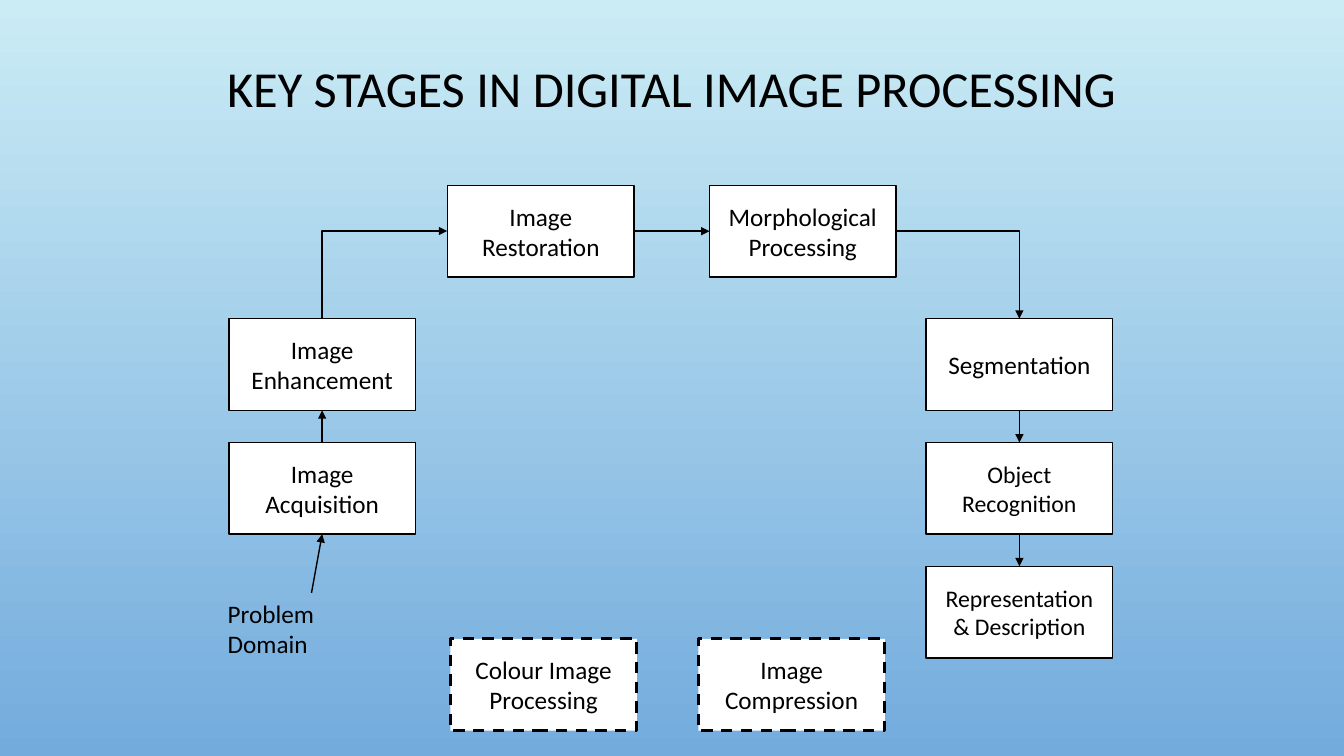
from lxml import etree
from pptx import Presentation
from pptx.dml.color import RGBColor
from pptx.enum import dml, shapes, text
from pptx.oxml import ns
from pptx.util import Cm, Pt

BLACK = RGBColor(0x00, 0x00, 0x00)
WHITE = RGBColor(0xFF, 0xFF, 0xFF)
SKY_TOP = RGBColor(0xCB, 0xEC, 0xF5)
SKY_BOTTOM = RGBColor(0x73, 0xAB, 0xDD)
BOX_W, BOX_H = 4.7, 2.31
LEFT_X, RIGHT_X = 5.77, 23.34
TOP_Y, SIDE_Y, SIDE_STEP, BASE_Y = 4.67, 8.03, 3.12, 16.1


def write(frame, wording, size, align):
    frame.text = wording
    paragraph = frame.paragraphs[0]
    paragraph.alignment = align
    font_format = {"name": "Calibri", "size": Pt(size)}
    for attribute, value in font_format.items():
        setattr(paragraph.runs[0].font, attribute, value)
    paragraph.runs[0].font.color.rgb = BLACK
    return paragraph


def add_arrow(kind, x1, y1, x2, y2):
    arrow = slide.shapes.add_connector(kind, Cm(x1), Cm(y1), Cm(x2), Cm(y2))
    arrow.line.color.rgb = BLACK
    arrow.line.width = Pt(1)
    properties = arrow._element.spPr
    etree.SubElement(properties.find(ns.qn("a:ln")), ns.qn("a:tailEnd"), type="triangle")
    etree.SubElement(properties, ns.qn("a:effectLst"))
    return arrow


prs = Presentation()
prs.slide_width, prs.slide_height = Cm(33.87), Cm(19.05)
slide = prs.slides.add_slide(prs.slide_layouts[5])

sky = slide.background.fill
sky.gradient()
sky.gradient_angle = 270
for stop, color, position in zip(sky.gradient_stops, (SKY_TOP, SKY_BOTTOM), (0, 1)):
    stop.color.rgb = color
    stop.position = position

title = slide.shapes.title
title_place = {"left": Cm(2.54), "top": Cm(0.97), "width": Cm(28.78), "height": Cm(2.64)}
for attribute, value in title_place.items():
    setattr(title, attribute, value)
title.text_frame.vertical_anchor = text.MSO_ANCHOR.MIDDLE
heading = write(title.text_frame, "KEY STAGES IN DIGITAL IMAGE PROCESSING", 36, text.PP_ALIGN.CENTER)
heading.line_spacing = 0.9

stages = [
    ("Image Acquisition", LEFT_X, SIDE_Y + SIDE_STEP, 18, False),
    ("Image Enhancement", LEFT_X, SIDE_Y, 18, False),
    ("Image Restoration", 11.28, TOP_Y, 18, False),
    ("Morphological Processing", 17.88, TOP_Y, 18, False),
    ("Segmentation", RIGHT_X, SIDE_Y, 18, False),
    ("Object Recognition", RIGHT_X, SIDE_Y + SIDE_STEP, 17, False),
    ("Representation & Description", RIGHT_X, SIDE_Y + 2 * SIDE_STEP, 17, False),
    ("Colour Image Processing", 11.35, BASE_Y, 18, True),
    ("Image Compression", 17.6, BASE_Y, 18, True),
]
boxes = {}
for stage, x, y, size, dashed in stages:
    box = slide.shapes.add_shape(shapes.MSO_SHAPE.RECTANGLE, Cm(x), Cm(y), Cm(BOX_W), Cm(BOX_H))
    box.shadow.inherit = False
    box.fill.solid()
    box.fill.fore_color.rgb = WHITE
    box.line.color.rgb = BLACK
    box.line.width = Pt(2 if dashed else 1)
    if dashed:
        box.line.dash_style = dml.MSO_LINE.DASH
    box.text_frame.word_wrap = True
    box.text_frame.vertical_anchor = text.MSO_ANCHOR.MIDDLE
    write(box.text_frame, stage, size, text.PP_ALIGN.CENTER)
    boxes[stage] = box

problem = slide.shapes.add_textbox(Cm(5.49), Cm(14.94), Cm(3.2), Cm(1.78))
problem.text_frame.word_wrap = True
write(problem.text_frame, "Problem Domain", 18, text.PP_ALIGN.LEFT)

straight_links = [
    ("Image Acquisition", 0, "Image Enhancement", 2),
    ("Image Restoration", 3, "Morphological Processing", 1),
    ("Segmentation", 2, "Object Recognition", 0),
    ("Object Recognition", 2, "Representation & Description", 0),
]
for source, source_side, target, target_side in straight_links:
    link = add_arrow(shapes.MSO_CONNECTOR.STRAIGHT, 0, 0, 1, 1)
    link.begin_connect(boxes[source], source_side)
    link.end_connect(boxes[target], target_side)

problem_link = add_arrow(shapes.MSO_CONNECTOR.STRAIGHT, 7.85, 14.94, 8.12, 13.46)
problem_link.end_connect(boxes["Image Acquisition"], 2)

to_restoration = add_arrow(shapes.MSO_CONNECTOR.ELBOW, 8.59, 5.35, 10.8, 8.5)
to_restoration.rotation = 270
to_segmentation = add_arrow(shapes.MSO_CONNECTOR.ELBOW, 22.58, 5.82, 25.69, 8.03)
for corner in (to_restoration, to_segmentation):
    corner._element.spPr.find(ns.qn("a:prstGeom")).set("prst", "bentConnector2")

prs.save("out.pptx")
